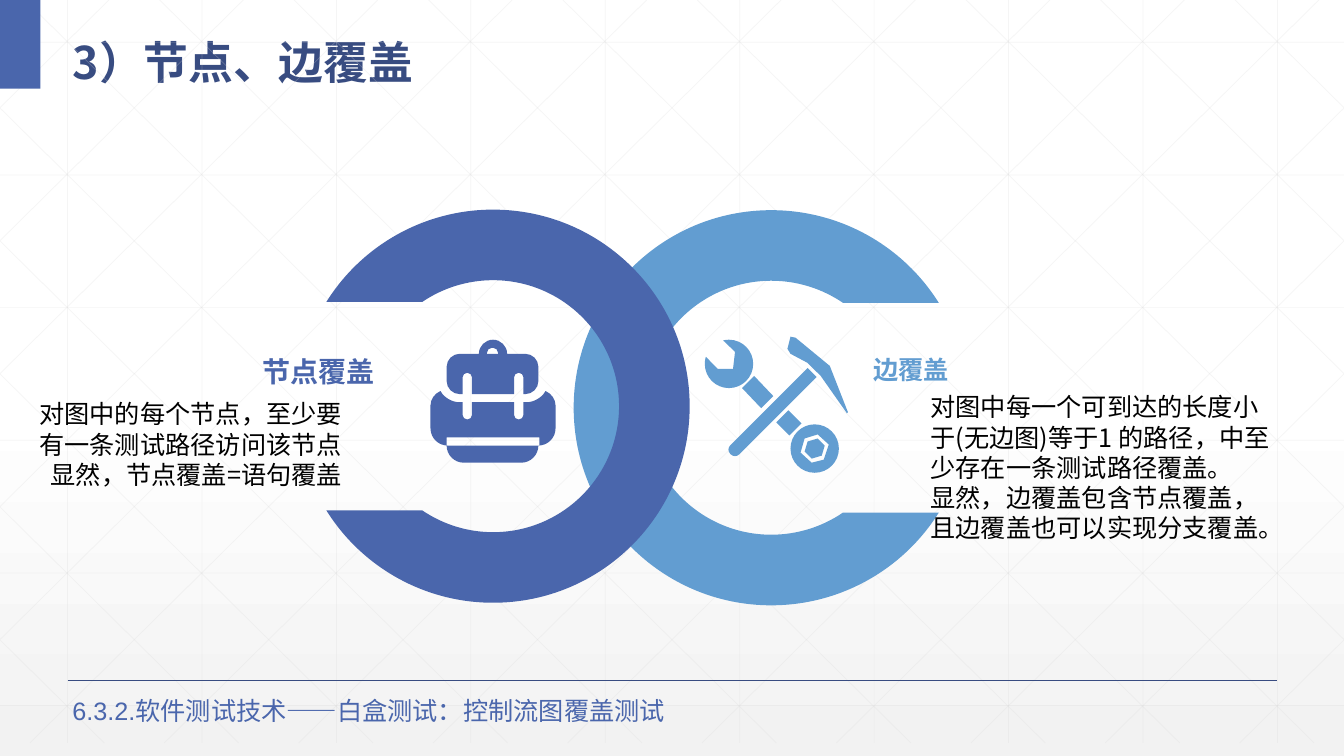
import math
from dataclasses import dataclass

import lxml.etree
import pptx
import pptx.dml.color
import pptx.enum.shapes
import pptx.enum.text
import pptx.oxml.ns
import pptx.util

UNIT = 9144  # EMU per px, 100 px to the inch
WIDE, HIGH = 1333, 750
ALIGN = pptx.enum.text.PP_ALIGN
ANCHOR = pptx.enum.text.MSO_ANCHOR


@dataclass(frozen=True)
class Theme:
    blue: str = "4A66AC"
    navy: str = "384C81"
    sky: str = "629DD1"
    black: str = "000000"
    white: str = "FFFFFF"
    pale: str = "F2F2F2"
    grid: str = "D9D9D9"
    latin: str = "Arial"
    han: str = "Noto Sans CJK SC"
    title: int = 32
    head: int = 20
    body: int = 18


THEME = Theme()


def px(size):
    return pptx.util.Emu(round(size * UNIT))


def rgb(code):
    return pptx.dml.color.RGBColor.from_string(code)


def tag(name):
    return pptx.oxml.ns.qn(name)


# Lines and outlines
def line(slide, start, end, color, width, alpha=None):
    kind = pptx.enum.shapes.MSO_CONNECTOR.STRAIGHT
    rule = slide.shapes.add_connector(kind, *map(px, (*start, *end)))
    rule.line.color.rgb = rgb(color)
    rule.line.width = pptx.util.Pt(width)
    props = rule._element.spPr
    if alpha:
        shade = props.find(".//" + tag("a:srgbClr"))
        lxml.etree.SubElement(shade, tag("a:alpha"), val=str(alpha * 1000))
    lxml.etree.SubElement(props, tag("a:effectLst"))


def paint(shape, color):
    shape.shadow.inherit = False
    shape.fill.solid()
    shape.fill.fore_color.rgb = rgb(color)
    shape.line.fill.background()


# An outline is a list of steps: [point] for a line, [handle, handle, point] for a curve
def arc(mid, radius, start, end):
    low, high = sorted((start, end))
    stops = [low, *(a for a in range(-360, 721, 90) if low < a < high), high]
    if start > end:
        stops.reverse()

    def spot(angle, push=0):
        c, s = math.cos(math.radians(angle)), math.sin(math.radians(angle))
        return mid[0] + radius * (c - push * s), mid[1] + radius * (s + push * c)

    steps = [[spot(start)]]
    for a, b in zip(stops, stops[1:]):
        push = 4 / 3 * math.tan(math.radians(b - a) / 4)
        steps.append([spot(a, push), spot(b, -push), spot(b)])
    return steps


def soft(*corners):
    """Turn corners (x, y) or (x, y, radius) into an outline."""
    steps = []
    for i, (x, y, *bend) in enumerate(corners):
        if not bend:
            steps.append([(x, y)])
            continue
        ends, grips = [], []
        for near in (corners[i - 1], corners[(i + 1) % len(corners)]):
            part = bend[0] / math.dist((x, y), near[:2])
            for spots, share in ((ends, part), (grips, part * 0.45)):
                spots.append((x + (near[0] - x) * share, y + (near[1] - y) * share))
        steps += [[ends[0]], [*grips, ends[1]]]
    return steps


def form(slide, color, *outlines):
    pen, sizes = None, []
    for first, *rest in outlines:
        x, y = map(px, first[0])
        if pen is None:
            pen = slide.shapes.build_freeform(x, y, scale=1.0)
        else:
            pen.move_to(x, y)
        pen.add_line_segments([(px(x), px(y)) for step in rest for x, y in step], close=True)
        sizes += [len(step) for step in rest]
    shape = pen.convert_to_shape()
    legs = iter(list(shape._element.iter(tag("a:lnTo"))))
    for size in sizes:
        leg = next(legs)
        if size == 3:
            leg.tag = tag("a:cubicBezTo")
            for spare in (next(legs), next(legs)):
                leg.append(spare[0])
                spare.getparent().remove(spare)
    paint(shape, color)


def ring(slide, mid, outer, inner, gap, face, color):
    """Draw a ring open at the angle face, cut level at gap above and below."""
    wide, slim = [math.degrees(math.asin(gap / r)) for r in (outer, inner)]
    form(slide, color, arc(mid, outer, face + wide, face + 360 - wide)
         + arc(mid, inner, face + 360 - slim, face + slim))


# Text
def style(para, size, color, bold=False, font=THEME.han, align=ALIGN.LEFT):
    para.alignment = align
    face = para.font
    face.size, face.bold, face.name = pptx.util.Pt(size), bold, font
    face.color.rgb = rgb(color)
    props = para._p.pPr.find(tag("a:defRPr"))
    lxml.etree.SubElement(props, tag("a:ea"), typeface=THEME.han)


def text(slide, box, words, size, color, pad=(8, 0), mid=False, **look):
    frame = slide.shapes.add_textbox(*map(px, box)).text_frame
    frame.word_wrap = True
    frame.margin_left = frame.margin_right = px(pad[0])
    frame.margin_top = frame.margin_bottom = px(pad[1])
    frame.vertical_anchor = ANCHOR.MIDDLE if mid else ANCHOR.TOP
    frame.text = "\n".join(words)
    for para in frame.paragraphs:
        style(para, size, color, **look)


def title(slide, words):
    shape = slide.shapes.title
    shape.left, shape.top, shape.width, shape.height = map(px, (63, 14, 1205, 73))
    frame = shape.text_frame
    frame.text = words
    frame.auto_size = pptx.enum.text.MSO_AUTO_SIZE.NONE
    frame.vertical_anchor = ANCHOR.MIDDLE
    frame.margin_left, frame.margin_top = px(9), px(11)
    frame.paragraphs[0].line_spacing = 1.3
    style(frame.paragraphs[0], THEME.title, THEME.navy, bold=True)


# Backdrop
def back(slide):
    fill = slide.background.fill
    fill.gradient()
    fill.gradient_angle = 270
    for stop, at, color in zip(fill.gradient_stops, (0.53, 1), (THEME.white, THEME.pale)):
        stop.position, stop.color.rgb = at, rgb(color)
    base, run, step = 737, 745, 400 / 3
    spans = [((67 + step * i, 0), (67 + step * i, base)) for i in range(10)]
    spans += [((0, 42 + 131.6 * i), (WIDE, 42 + 131.6 * i)) for i in range(6)]
    for i in range(-5, 10):
        top = 25 + step * i
        ends = [(x, (x - top) * base / run) for x in (max(top, 0), min(top + run, WIDE))]
        spans += [ends, [(WIDE - x, y) for x, y in ends]]
    for start, end in spans:
        line(slide, start, end, THEME.grid, 0.5, 25)
    line(slide, (67, 675), (1267, 675), THEME.navy, 1)
    kind = pptx.enum.shapes.MSO_SHAPE.RECTANGLE
    paint(slide.shapes.add_shape(kind, *map(px, (0, 0, 40, 88))), THEME.blue)


# Icons
def tools(slide):
    form(
        slide, THEME.sky,
        arc((808, 445), 24, 0, 360),
        soft((811, 431), (822, 441), (817, 456), (805, 459), (794, 449), (798, 435)),
        soft((811, 435), (818, 442), (815, 452), (805, 455), (798, 448), (801, 438)),
        soft((782, 407), (795, 420), (783, 432), (770, 419)),
        soft((748, 373), (767, 393), (755, 405), (736, 385)),
        soft((801, 365), (810, 374), (729, 455, 6), (720, 446, 6)),
        arc((723, 361), 24, -104, 197) + soft((712, 366), (727, 366), (729, 349)),
        soft((784, 334), (789, 335), (823, 363), (841, 409), (840, 410),
             (814, 373), (801, 360), (784, 351), (781, 346)))


def pack(slide):
    form(
        slide, THEME.blue,
        soft((443, 442), (534, 442), (534, 459, 17), (443, 459, 17)),
        soft((437, 388), (443, 399, 12), (459, 399), (459, 416, 4), (468, 416, 4),
             (468, 399), (510, 399), (510, 416, 4), (519, 416, 4), (519, 399),
             (535, 399, 12), (541, 388), (551, 392, 10), (551, 442, 17), (535, 442),
             (535, 434), (443, 434), (443, 442), (427, 442, 17), (427, 392, 10)),
        soft((475, 351), (475, 337, 14), (503, 337, 14), (503, 351), (534, 351, 13),
             (534, 391, 13), (519, 391), (519, 370, 4), (510, 370, 4), (510, 391),
             (468, 391), (468, 370, 4), (459, 370, 4), (459, 391), (443, 391, 13),
             (443, 351, 13)),
        soft((483, 351), (483, 345, 5), (494, 345, 5), (494, 351)))


def main():
    deck = pptx.Presentation()
    deck.slide_width, deck.slide_height = px(WIDE), px(HIGH)
    slide = deck.slides.add_slide(deck.slide_layouts[5])
    back(slide)
    title(slide, "3）节点、边覆盖")

    # Edge coverage
    ring(slide, (765, 404.5), 196, 126, 104, 0, THEME.sky)
    tools(slide)
    text(slide, (915, 357, 363, 213),
         ["对图中每一个可到达的长度小于(无边图)等于1 的路径，中至少存在一条测试路径覆盖。",
          "显然，边覆盖包含节点覆盖，且边覆盖也可以实现分支覆盖。"],
         THEME.body, THEME.black, mid=True)
    text(slide, (858, 352, 404, 27), ["边覆盖"], THEME.body, THEME.sky,
         bold=True, font=THEME.latin)

    # Node coverage
    ring(slide, (489, 403), 195, 125, 103.5, 180, THEME.blue)
    pack(slide)
    text(slide, (8, 380, 339, 121),
         ["对图中的每个节点，至少要有一条测试路径访问该节点", "显然，节点覆盖=语句覆盖"],
         THEME.body, THEME.black, mid=True, align=ALIGN.RIGHT)
    text(slide, (102, 352, 278, 28), ["节点覆盖"], THEME.head, THEME.blue,
         bold=True, font=THEME.latin, align=ALIGN.RIGHT)

    # Footer
    text(slide, (62, 685, 669, 40), ["6.3.2.软件测试技术——白盒测试：控制流图覆盖测试"],
         THEME.body, THEME.blue, pad=(10, 5), font=THEME.latin)
    deck.save("out.pptx")


if __name__ == "__main__":
    main()
